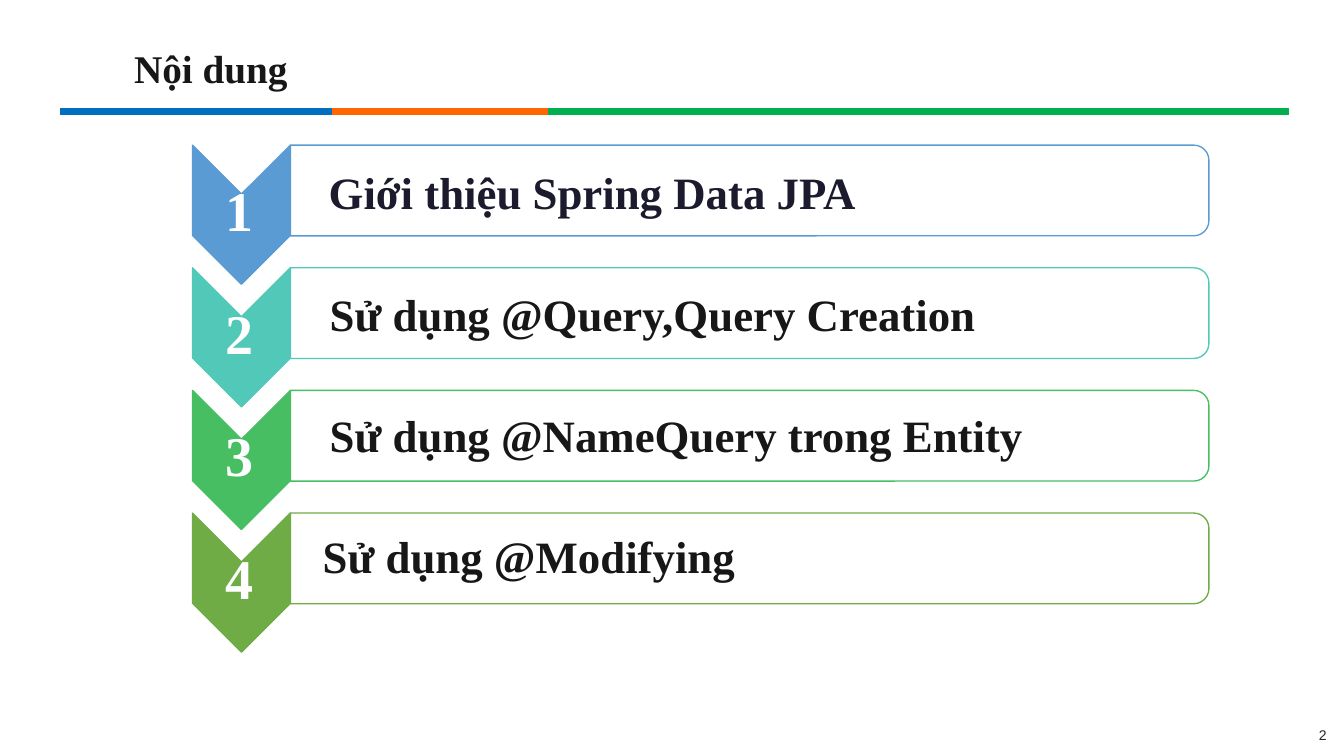
from pptx import Presentation
from pptx.dml.color import RGBColor
from pptx.enum.shapes import MSO_SHAPE as Shape
from pptx.util import Inches, Pt

WHITE = RGBColor(0xFF, 0xFF, 0xFF)
INK = RGBColor(0x17, 0x17, 0x17)
NAVY = RGBColor(0x1B, 0x1B, 0x2D)
GRAY = RGBColor(0x25, 0x25, 0x25)
BAR_BLUE = RGBColor(0x00, 0x6F, 0xC0)
BAR_ORANGE = RGBColor(0xFF, 0x66, 0x00)
BAR_GREEN = RGBColor(0x00, 0xAF, 0x50)
STEP_BLUE = RGBColor(0x5B, 0x9B, 0xD4)
STEP_TEAL = RGBColor(0x52, 0xC9, 0xB8)
STEP_GREEN = RGBColor(0x48, 0xBE, 0x63)
STEP_OLIVE = RGBColor(0x6F, 0xAC, 0x46)

SERIF = "Times New Roman"
LINE_WIDTH = Pt(0.96)
BARS = [(0, 2.69, BAR_BLUE), (2.7, 2.14, BAR_ORANGE), (4.84, 7.34, BAR_GREEN)]
TOPICS = [
    ("Giới thiệu Spring Data JPA", STEP_BLUE, NAVY, 1.35, 0.18),
    ("Sử dụng @Query,Query Creation", STEP_TEAL, INK, 1.36, 0.18),
    ("Sử dụng @NameQuery trong Entity", STEP_GREEN, INK, 1.36, 0.16),
    ("Sử dụng @Modifying", STEP_OLIVE, INK, 1.29, 0.15),
]


def paint(shape, fill, line):
    shape.shadow.inherit = False
    shape.fill.solid()
    shape.fill.fore_color.rgb = fill
    shape.line.color.rgb = line
    shape.line.width = LINE_WIDTH


def add_text(page, text, left, top, width, height, size, color,
             font=SERIF, bold=True, before=1):
    box = page.shapes.add_textbox(
        Inches(left), Inches(top), Inches(width), Inches(height))
    frame = box.text_frame
    frame.word_wrap = True
    frame.margin_left = frame.margin_right = frame.margin_bottom = 0
    frame.margin_top = Inches(0.01)
    frame.text = text
    para = frame.paragraphs[0]
    para.space_before = Pt(before)
    span = para.runs[0]
    span.font.name = font
    span.font.size = Pt(size)
    span.font.bold = bold
    span.font.color.rgb = color


def add_header(page, left, top):
    add_text(page, "Nội dung", left + 0.73, top, 1.85, 0.49, 28, INK)
    for offset, width, color in BARS:
        bar = page.shapes.add_shape(
            Shape.RECTANGLE, Inches(left + offset), Inches(top + 0.65),
            Inches(width), Inches(0.06))
        paint(bar, color, color)


def add_chevron(page, left, top, width, height, color):
    point = width / 2
    corners = [(point, point), (width, 0), (width, height - point),
               (point, height), (0, height - point)]
    outline = page.shapes.build_freeform(Inches(left), Inches(top))
    outline.add_line_segments(
        [(Inches(left + x), Inches(top + y)) for x, y in corners], close=True)
    paint(outline.convert_to_shape(), color, color)


def add_panel(page, left, top, width, height, color):
    inset = (width - height) / 2
    panel = page.shapes.add_shape(
        Shape.ROUND_2_SAME_RECTANGLE, Inches(left + inset),
        Inches(top - inset), Inches(height), Inches(width))
    panel.rotation = 90
    paint(panel, WHITE, color)


def add_topics(page, left, top, width, height):
    chevron_width, chevron_height, panel_height = 0.97, 1.38, 0.9
    pitch = (height - chevron_height) / (len(TOPICS) - 1)
    for index, (text, color, ink, indent, drop) in enumerate(TOPICS):
        row = top + index * pitch
        add_chevron(page, left, row, chevron_width, chevron_height, color)
        add_text(page, str(index + 1), left + 0.33, row + 0.29, 0.4, 0.69,
                 40, WHITE)
        add_panel(page, left + chevron_width, row, width - chevron_width,
                  panel_height, color)
        add_text(page, text, left + indent, row + drop, 7.5, 0.56, 32, ink)


def add_page_number(page, left, top):
    add_text(page, "2", left, top, 0.2, 0.18, 10, GRAY, "Arial", False, 0)


def main():
    deck = Presentation()
    deck.slide_width = Inches(13.33)
    deck.slide_height = Inches(7.5)
    page = deck.slides.add_slide(deck.slide_layouts[6])
    add_header(page, 0.6, 0.43)
    add_topics(page, 1.91, 1.44, 10.08, 5.03)
    add_page_number(page, 13.08, 7.2)
    deck.save("out.pptx")


if __name__ == "__main__":
    main()
